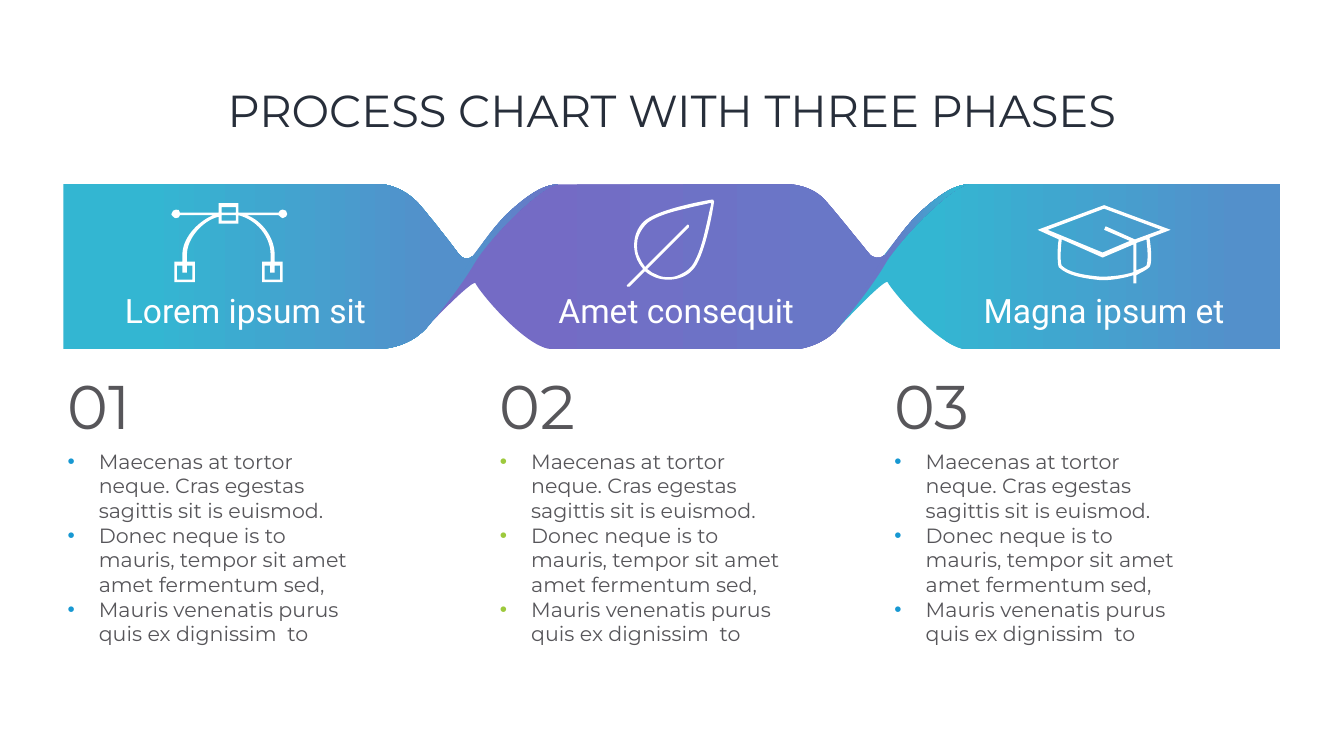
import pptx
import pptx.util
import pptx.dml.color
import pptx.enum.text
import pptx.oxml.ns
import lxml.etree

Inches = pptx.util.Inches
Align = pptx.enum.text.PP_ALIGN
Anchor = pptx.enum.text.MSO_ANCHOR
qn = pptx.oxml.ns.qn

TEAL, BLUE, VIOLET, INDIGO = "33B6D2", "5390CB", "746BC5", "6977C7"
WHITE, GREY = "FFFFFF", "57565A"

ITEMS = ["Maecenas at tortor neque. Cras egestas sagittis sit is euismod.",
         "Donec neque is to mauris, tempor sit amet amet fermentum sed,",
         "Mauris venenatis purus quis ex dignissim  to"]

# Outlines relative to their box: (x, y) is a line, six numbers are a curve
LEFT = [(7.85, 1.4), (7.79, 1.32, 7.49, .92, 7.1, .45), (6.71, -.02, 6.24, 0, 6.24, 0),
        (0, 0), (0, 3.27), (6.31, 3.27), (6.31, 3.27, 6.83, 3.26, 7.19, 2.87),
        (7.24, 2.81), (7.65, 2.28, 8.05, 1.55, 8.11, 1.44), (8.02, 1.53, 7.91, 1.48, 7.85, 1.4)]
MIDDLE = [(8.78, 1.41), (8.73, 1.36, 8.13, .6, 7.87, .31), (7.61, .02, 7.2, 0, 7.2, 0),
          (2.57, 0), (2.26, 0, 1.92, .26, 1.61, .54), (1.3, .82, .96, 1.34, .87, 1.44),
          (.81, 1.54, .41, 2.28, 0, 2.8), (.36, 2.42, .83, 1.96, .93, 1.95),
          (1, 2.12, 1.95, 3.27, 2.47, 3.27), (7.29, 3.27),
          (7.29, 3.27, 7.72, 3.25, 8.08, 2.91), (8.52, 2.37, 8.99, 1.51, 9.04, 1.41),
          (8.96, 1.5, 8.83, 1.44, 8.78, 1.41)]
RIGHT = [(2.75, 0), (2.26, 0, 1.99, .32, 1.78, .48), (1.57, .64, 1.05, 1.31, .97, 1.42),
         (.91, 1.52, .45, 2.38, 0, 2.92), (.05, 2.87), (.42, 2.48, .93, 1.95, 1.04, 1.94),
         (1.11, 2.1, 2.1, 3.28, 2.62, 3.28), (8.84, 3.28), (8.84, 0)]
FOLD = [(2.67, 0), (2.36, 0, 2.02, .26, 1.71, .54), (1.4, .82, 1.06, 1.34, .97, 1.43),
        (.97, 1.43, .48, 2.35, 0, 2.93), (0, 2.93, .66, 2.17, 1, 1.59),
        (1.33, 1.02, 2.36, 0, 2.67, 0)]

# Icons: outer edge first, then the holes
FOOT = [(.42, 1.24), (.42, 1.52), (.11, 1.52), (.11, 1.24),
        (.22, 1.24), (.22, 1.38), (.31, 1.38), (.31, 1.24)]
ARCH = [[(2.21, .13), (2.19, .13, 2.16, .13, 2.13, .19), (1.33, .19), (1.33, 0), (.94, 0),
         (.94, .19), (.17, .19), (.17, .13, .14, .13, .09, .13), (.06, .13, 0, .16, 0, .22),
         (0, .24, .06, .3, .09, .3), (.14, .3, .17, .27, .17, .24), (.83, .24),
         (.5, .38, .22, .71, .22, 1.02), (.22, 1.16), (.06, 1.16), (.06, 1.57), (.47, 1.57),
         (.47, 1.16), (.31, 1.16), (.31, 1.02), (.31, .71, .61, .35, .94, .27), (.94, .41),
         (1.33, .41), (1.33, .24), (1.69, .33, 1.97, .66, 1.97, 1.02), (1.97, 1.16),
         (1.8, 1.16), (1.8, 1.57), (2.21, 1.57), (2.21, 1.16), (2.05, 1.16), (2.05, 1.02),
         (2.05, .69, 1.8, .35, 1.5, .24), (2.13, .24), (2.16, .27, 2.19, .3, 2.21, .3),
         (2.27, .3, 2.3, .24, 2.3, .22), (2.3, .16, 2.27, .13, 2.21, .13)],
        FOOT, [(a + 1.74, b) for a, b in FOOT],
        [(1, .08), (1.28, .08), (1.28, .19), (1, .19)],
        [(1.28, .35), (1, .35), (1, .24), (1.28, .24)]]
LEAF = [[(1.73, .02), (1.73, 0, 1.72, 0, 1.72, 0), (1.7, 0), (1.45, .04, .58, .21, .34, .44),
         (.1, .68, .09, 1.09, .32, 1.36), (.33, 1.38), (.02, 1.69), (0, 1.7, 0, 1.72, .02, 1.73),
         (.03, 1.74, .04, 1.74, .06, 1.73), (.37, 1.42), (.38, 1.43),
         (.51, 1.54, .67, 1.59, .83, 1.59), (1.01, 1.59, 1.19, 1.53, 1.31, 1.4),
         (1.54, 1.17, 1.7, .32, 1.74, .04), (1.74, .03, 1.74, .02, 1.73, .02)],
        [(1.68, .1), (1.65, .21, 1.62, .38, 1.57, .58), (1.45, 1.12, 1.32, 1.3, 1.27, 1.35),
         (1.2, 1.42, 1.13, 1.46, 1.06, 1.49), (.98, 1.53, .91, 1.54, .83, 1.54),
         (.75, 1.54, .67, 1.53, .6, 1.49), (.53, 1.47, .48, 1.43, .43, 1.39), (.41, 1.38),
         (1.24, .55), (1.25, .53, 1.25, .52, 1.24, .51), (1.23, .49, 1.21, .49, 1.2, .51),
         (.37, 1.34), (.36, 1.32), (.32, 1.27, .28, 1.21, .26, 1.15),
         (.22, 1.08, .21, 1, .21, .91), (.21, .83, .22, .77, .26, .68),
         (.29, .62, .33, .55, .4, .48), (.45, .43, .63, .3, 1.17, .18),
         (1.36, .13, 1.54, .1, 1.65, .07), (1.68, .07)]]
CAP = [[(2.64, .49), (1.32, 0), (0, .49), (.42, .68), (.39, .81, .39, 1.16, .42, 1.23),
        (.58, 1.39, .87, 1.45, 1.26, 1.49), (1.29, 1.49), (1.48, 1.49, 1.71, 1.45, 1.9, 1.39),
        (1.9, 1.55), (1.96, 1.55), (1.96, 1.39), (2.06, 1.33, 2.16, 1.29, 2.22, 1.23),
        (2.28, 1.16, 2.25, .81, 2.22, .65)],
       [(1.32, .07), (2.45, .49), (1.93, .68), (1.35, .42), (1.32, .49), (1.83, .71),
        (1.29, .94), (.2, .49)],
       [(1.26, 1.42), (.9, 1.39, .61, 1.33, .48, 1.2), (.45, 1.16, .45, .91, .48, .68),
        (1.29, 1.04), (1.9, .78), (1.9, 1.33), (1.71, 1.39, 1.48, 1.42, 1.26, 1.42)],
       [(2.16, 1.2), (2.12, 1.23, 2.06, 1.26, 1.96, 1.29), (1.96, .75), (2.16, .68),
        (2.19, .91, 2.19, 1.13, 2.16, 1.2)]]


def color(code):
    return pptx.dml.color.RGBColor.from_string(code)


def write(shape, lines, font="Montserrat", size=29.4, ink=GREY, align=Align.LEFT,
          space=None, anchor=Anchor.TOP, wrap=True, bullet=None):
    frame = shape.text_frame
    frame.word_wrap = wrap
    frame.auto_size = pptx.enum.text.MSO_AUTO_SIZE.NONE
    frame.vertical_anchor = anchor
    for i, line in enumerate(lines):
        para = frame.add_paragraph() if i else frame.paragraphs[0]
        para.alignment, para.line_spacing = align, space
        para.space_before = 0
        if bullet:
            props = para._p.get_or_add_pPr()
            props.set("marL", str(Inches(.62)))
            props.set("indent", str(-Inches(.62)))
            paint = lxml.etree.SubElement(props, qn("a:buClr"))
            lxml.etree.SubElement(paint, qn("a:srgbClr"), val=bullet)
            lxml.etree.SubElement(props, qn("a:buFont"), typeface="Arial")
            lxml.etree.SubElement(props, qn("a:buChar"), char="•")
        run = para.add_run()
        run.text = line
        run.font.name, run.font.bold = font, False
        run.font.size = pptx.util.Centipoints(round(size * 100))
        run.font.color.rgb = color(ink)


def place(shape, x, y, w, h):
    shape.left, shape.top, shape.width, shape.height = map(Inches, (x, y, w, h))


def label(slide, text, x, y, w, h, **form):
    write(slide.shapes.add_textbox(*map(Inches, (x, y, w, h))), [text], space=.89, **form)


def trace(slide, x, y, *routes):
    build = None
    for route in routes:
        ends = [(Inches(x + part[-2]), Inches(y + part[-1])) for part in route]
        if build:
            build.move_to(*ends[0])
        else:
            build = slide.shapes.build_freeform(*ends[0])
        build.add_line_segments(ends[1:], close=ends[0] != ends[-1])
    shape = build.convert_to_shape()
    shape.shadow.inherit = False
    shape.line.fill.background()
    # Turn six-number parts into curves
    parts = [part for route in routes for part in route]
    track = shape._element.find(".//" + qn("a:path"))
    nodes = [n for n in track if n.tag in (qn("a:moveTo"), qn("a:lnTo"))]
    # A closing line may follow a route; only nodes with a point are paired
    for node, part in zip(nodes, parts):
        if len(part) == 6:
            curve = lxml.etree.Element(qn("a:cubicBezTo"))
            for a, b in zip(part[::2], part[1::2]):
                lxml.etree.SubElement(curve, qn("a:pt"), x=str(Inches(x + a) - shape.left),
                                      y=str(Inches(y + b) - shape.top))
            track.replace(node, curve)
    return shape


def ribbon(slide, x, y, route, first, last, start=.21):
    shape = trace(slide, x, y, route)
    shape.fill.gradient()
    shape.fill.gradient_angle = 0
    for stop, code, spot in zip(shape.fill.gradient_stops, (first, last), (start, .91)):
        stop.color.rgb, stop.position = color(code), spot


def icon(slide, x, y, routes):
    shape = trace(slide, x, y, *routes)
    shape.fill.solid()
    shape.fill.fore_color.rgb = color(WHITE)


def band(slide, x, y):
    # Ribbons, then the folds that join them
    ribbon(slide, x + 15.31, y, RIGHT, TEAL, BLUE)
    ribbon(slide, x + 7.24, y + .01, MIDDLE, VIOLET, INDIGO)
    ribbon(slide, x, y, LEFT, TEAL, BLUE)
    ribbon(slide, x + 7.14, y + .01, FOLD, BLUE, INDIGO, .4)
    ribbon(slide, x + 15.3, y + .01, FOLD, INDIGO, TEAL, .4)
    # Phase names and icons
    for text, left in (("Lorem ipsum sit", -.02), ("Amet consequit", 8.53),
                       ("Magna ipsum et", 17.02)):
        label(slide, text, x + left, y + 2.14, 7.26, .82, font="Roboto", size=48,
              ink=WHITE, align=Align.CENTER)
    icon(slide, x + 11.17, y + .31, LEAF)
    icon(slide, x + 2.14, y + .38, ARCH)
    icon(slide, x + 19.33, y + .42, CAP)


def column(slide, body, number, x, y, dot):
    label(slide, number, x, y, 1.7, 1.42, size=88, wrap=False)
    place(body, x, y + 1.43, 5.87, 4.06)
    write(body, ITEMS, bullet=dot)


def main():
    deck = pptx.Presentation()
    deck.slide_width, deck.slide_height = Inches(26.67), Inches(15)
    slide = deck.slides.add_slide(deck.slide_layouts.get_by_name("Comparison"))
    title, *bodies = list(slide.placeholders)

    # Title
    place(title, 1.83, .8, 23, 2.9)
    write(title, ["PROCESS CHART WITH THREE PHASES"], size=64, ink="272E3A",
          align=Align.CENTER, space=.9, anchor=Anchor.MIDDLE)

    # Ribbon band
    band(slide, 1.26, 3.65)

    # Numbered lists
    columns = (("01", 1.24, "1798D2"), ("02", 9.82, "9DC93C"), ("03", 17.65, "1798D2"))
    for body, (number, x, dot) in zip(bodies, columns):
        column(slide, body, number, x, 7.42, dot)
    for spare in bodies[len(columns):]:
        spare._element.getparent().remove(spare._element)

    deck.save("out.pptx")


if __name__ == "__main__":
    main()
